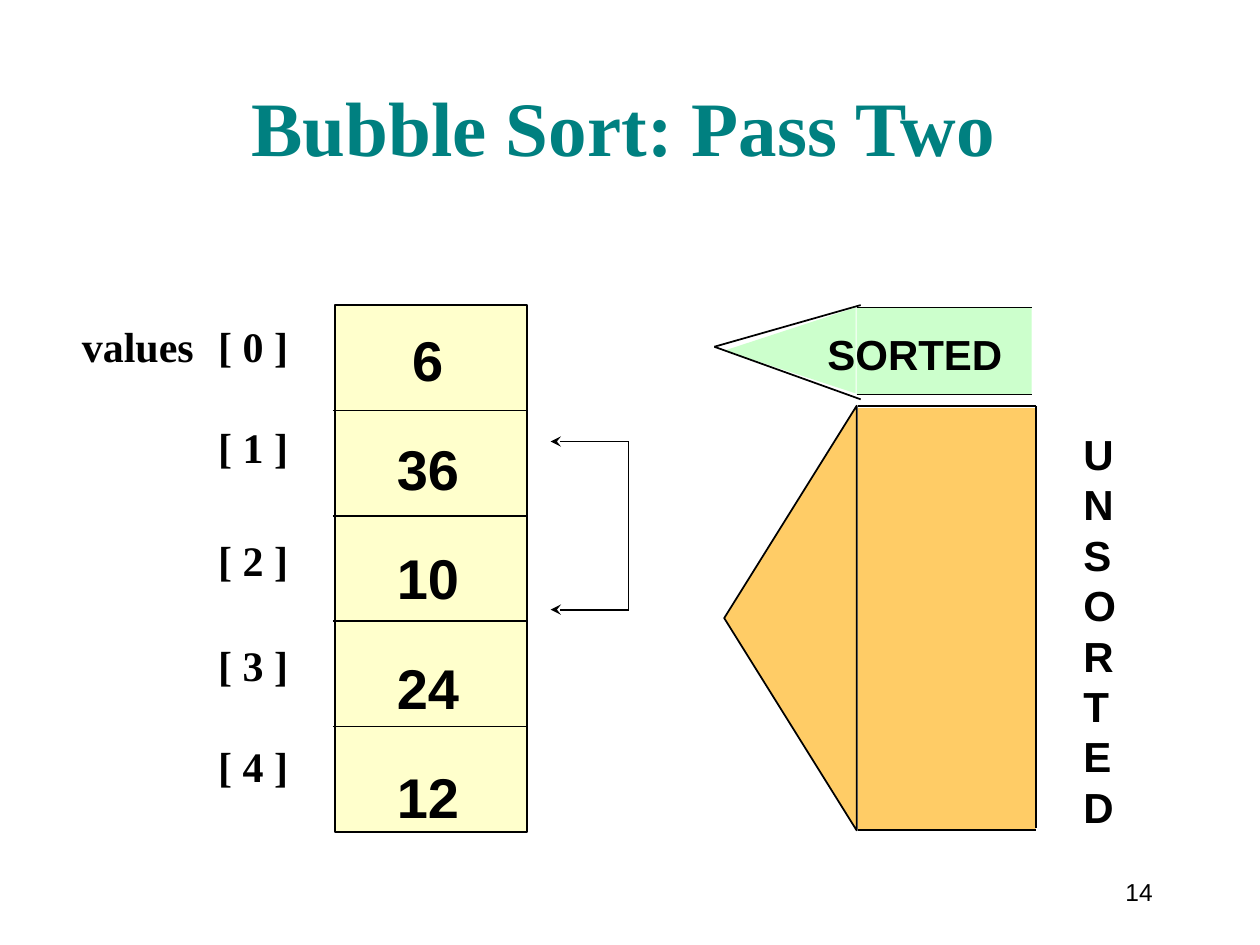
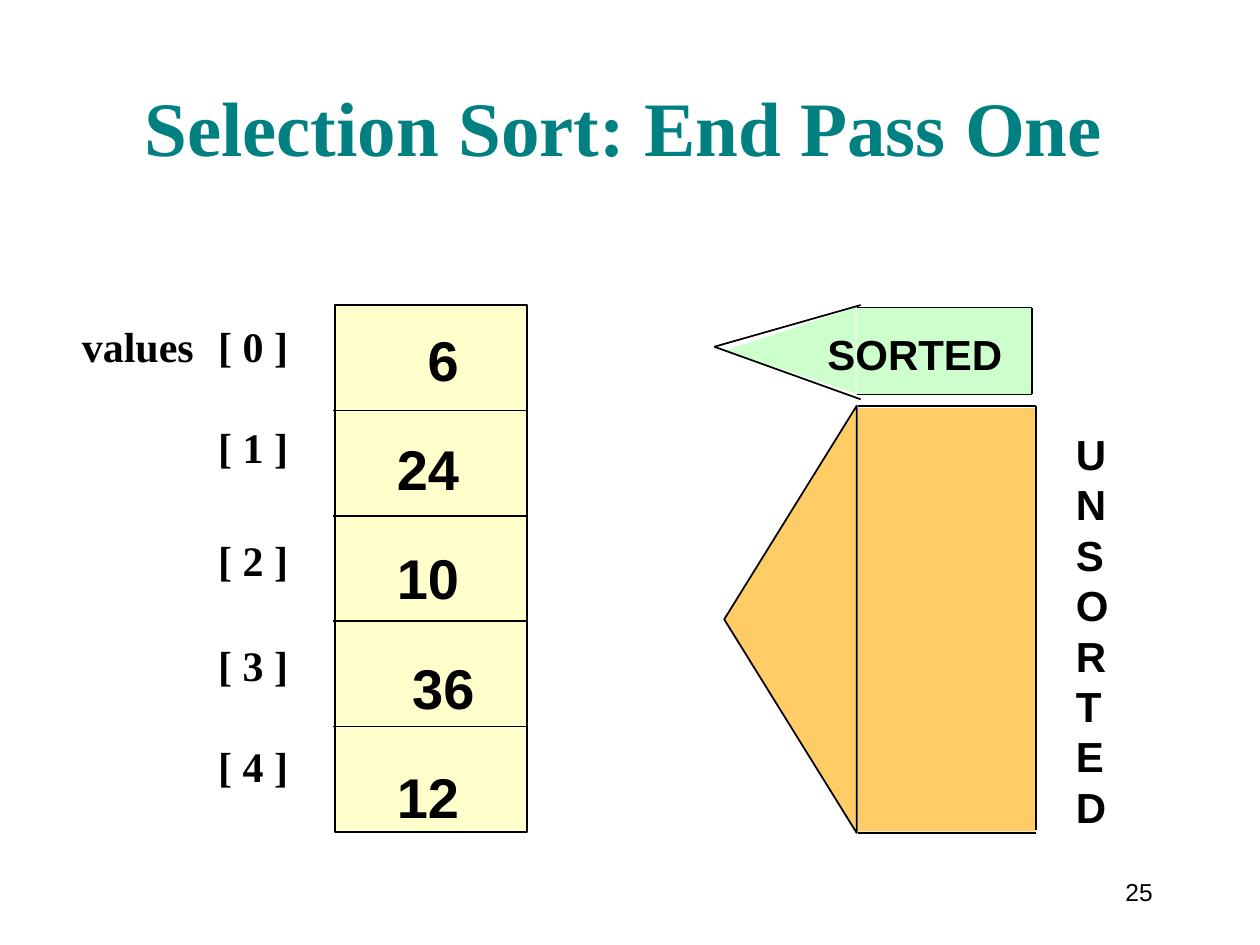
from dataclasses import dataclass

from lxml.etree import SubElement
from pptx import Presentation
from pptx.dml.color import RGBColor
from pptx.enum.shapes import MSO_CONNECTOR, MSO_SHAPE as Preset
from pptx.enum.text import MSO_ANCHOR as Anchor, PP_ALIGN as Align
from pptx.oxml.ns import qn
from pptx.slide import Slide
from pptx.util import Cm, Pt

BLACK = RGBColor(0x00, 0x00, 0x00)
TEAL = RGBColor(0x00, 0x80, 0x80)
CREAM = RGBColor(0xFF, 0xFF, 0xCC)
ORANGE = RGBColor(0xFF, 0xCC, 0x66)
GREEN = RGBColor(0xCC, 0xFF, 0xCC)
SANS, SERIF = "Arial", "Times New Roman"
LINE_FACTOR = 1.2


@dataclass(frozen=True)
class Box:
    """A frame in centimetres."""
    left: float
    top: float
    width: float
    height: float


@dataclass(frozen=True)
class Row:
    """One paragraph with its space before (points) and indent (cm)."""
    text: str
    before: float = 0
    indent: float = 0


@dataclass(frozen=True)
class SortStep:
    """The state of the sort that one slide shows."""
    title: str
    number: int
    values: tuple[int, ...]
    indents: tuple[float, ...]
    unsorted_bottom: float
    letters_left: float
    comparing: bool


ARRAY = Box(6.76, 6.15, 3.86, 10.62)
SORTED = Box(17.27, 6.2, 3.53, 1.75)
UNSORTED_LEFT, UNSORTED_TOP, UNSORTED_WIDTH = 17.3, 8.18, 3.58
INDEX_GAPS = (0, 28.8, 36, 31.2, 28.8)
VALUE_GAP = 24
SPACE = 0.31

STEPS = (
    SortStep("Bubble Sort: Pass Two ", 14, (6, 36, 10, 24, 12),
             (SPACE, 0, 0, 0, 0), 16.74, 21.59, True),
    SortStep("Selection Sort: End Pass One ", 25, (6, 24, 10, 36, 12),
             (2 * SPACE, 0, 0, SPACE, 0), 16.79, 21.44, False),
)


def add_text(slide: Slide, box: Box, rows: list[Row], *, size: float = 24,
             font: str = SANS, color: RGBColor = BLACK, bold: bool = True,
             align: Align = Align.LEFT, anchor: Anchor = Anchor.TOP,
             wrap: bool = False, inset_top: float = 0.18,
             tab: float | None = None) -> None:
    """Add a text box with one paragraph per row."""
    frame = slide.shapes.add_textbox(
        Cm(box.left), Cm(box.top), Cm(box.width), Cm(box.height)).text_frame
    frame.word_wrap = wrap
    frame.vertical_anchor = anchor
    frame.margin_left = frame.margin_right = Cm(0.25)
    frame.margin_top, frame.margin_bottom = Cm(inset_top), Cm(0.13)
    for number, row in enumerate(rows):
        paragraph = frame.add_paragraph() if number else frame.paragraphs[0]
        paragraph.alignment = align
        paragraph.line_spacing = Pt(size * LINE_FACTOR)
        paragraph.space_before = Pt(row.before)
        properties = paragraph._p.get_or_add_pPr()
        if row.indent:
            properties.set("marL", str(Cm(row.indent)))
        if tab:
            stops = SubElement(properties, qn("a:tabLst"))
            SubElement(stops, qn("a:tab"), pos=str(Cm(tab)), algn="l")
        run = paragraph.add_run()
        run.text = row.text
        run.font.size, run.font.name, run.font.bold = Pt(size), font, bold
        run.font.color.rgb = color


def add_block(slide: Slide, box: Box, fill: RGBColor, *,
              preset: Preset = Preset.RECTANGLE, outlined: bool = False) -> None:
    """Add a filled shape; a triangle points left and fills the box."""
    left, top, width, height = box.left, box.top, box.width, box.height
    turned = preset == Preset.ISOSCELES_TRIANGLE
    if turned:
        left, top = left + (width - height) / 2, top + (height - width) / 2
        width, height = height, width
    block = slide.shapes.add_shape(preset, Cm(left), Cm(top), Cm(width), Cm(height))
    block.rotation = 270 if turned else 0
    block.shadow.inherit = False
    block.fill.solid()
    block.fill.fore_color.rgb = fill
    if outlined:
        block.line.color.rgb = BLACK
        block.line.width = Pt(1)
    else:
        block.line.fill.background()


def add_line(slide: Slide, x1: float, y1: float, x2: float, y2: float,
             arrow: bool = False) -> None:
    """Add a thin black line, with an arrowhead at its start if asked."""
    line = slide.shapes.add_connector(
        MSO_CONNECTOR.STRAIGHT, Cm(x1), Cm(y1), Cm(x2), Cm(y2))
    line.line.color.rgb = BLACK
    line.line.width = Pt(1)
    if arrow:
        SubElement(line.line._get_or_add_ln(), qn("a:headEnd"), type="stealth")
    SubElement(line._element.spPr, qn("a:effectLst"))


def draw_array(slide: Slide, step: SortStep) -> None:
    """Draw the index labels and the array cells with their values."""
    labels = [Row(f"{'' if i else 'values'}\t[ {i} ]", gap)
              for i, gap in enumerate(INDEX_GAPS)]
    add_text(slide, Box(1.4, 4.5, 6.17, 11.51), labels, font=SERIF,
             wrap=True, inset_top=1.96, tab=2.75)
    add_block(slide, ARRAY, CREAM, outlined=True)
    count = len(step.values)
    for i in range(1, count):
        y = ARRAY.top + ARRAY.height * i / count
        add_line(slide, 6.71, y, 10.64, y)
    values = [Row(str(value), VALUE_GAP if i else 0, indent)
              for i, (value, indent) in enumerate(zip(step.values, step.indents))]
    add_text(slide, Box(7.75, 6.38, 2.08, 10.41), values, size=32, wrap=True)


def draw_unsorted(slide: Slide, step: SortStep) -> None:
    """Draw the orange pointer over the unsorted part."""
    left, top, bottom = UNSORTED_LEFT, UNSORTED_TOP, step.unsorted_bottom
    right = left + UNSORTED_WIDTH
    add_block(slide, Box(14.6, top, 2.67, bottom - top), ORANGE,
              preset=Preset.ISOSCELES_TRIANGLE, outlined=True)
    add_block(slide, Box(left, top + 0.05, UNSORTED_WIDTH, bottom - top - 0.08), ORANGE)
    add_line(slide, left, top, right, top)
    add_line(slide, left, bottom, right, bottom)
    add_line(slide, right, top, right, bottom - 0.05)
    add_text(slide, Box(step.letters_left, 8.46, 1.17, 8.38),
             [Row(letter) for letter in "UNSORTED"])


def draw_sorted(slide: Slide, closed: bool) -> None:
    """Draw the green pointer over the sorted part."""
    left, top = SORTED.left, SORTED.top
    right, bottom = left + SORTED.width, top + SORTED.height
    add_block(slide, Box(14.61, top, 2.64, 1.73), GREEN,
              preset=Preset.ISOSCELES_TRIANGLE)
    add_block(slide, SORTED, GREEN)
    for y, slant_y in ((top, 6.15), (bottom, 8.05)):
        add_line(slide, left, y, right, y)
        add_line(slide, 14.4, 6.99, 17.35, slant_y)
    add_text(slide, Box(16.43, 6.45, 4.04, 1.27), [Row("SORTED")])
    if closed:
        add_line(slide, right, top, right, bottom)


def draw_comparison(slide: Slide) -> None:
    """Draw the bracket that points at the two compared values."""
    tip, spine, upper, lower = 11.1, 12.67, 8.9, 12.29
    add_line(slide, spine, upper, spine, lower)
    for y in (upper, lower):
        add_line(slide, tip, y, spine, y, arrow=True)


def draw_step(slide: Slide, step: SortStep) -> None:
    """Draw one whole slide."""
    add_text(slide, Box(21.79, 17.35, 1.7, 1.27), [Row(str(step.number))], size=14,
             bold=False, align=Align.RIGHT, anchor=Anchor.MIDDLE, inset_top=0.13)
    add_text(slide, Box(2.24, 0.41, 21.06, 3.18), [Row(step.title)], size=44,
             font=SERIF, color=TEAL, align=Align.CENTER, anchor=Anchor.BOTTOM,
             wrap=True)
    draw_array(slide, step)
    draw_unsorted(slide, step)
    draw_sorted(slide, closed=not step.comparing)
    if step.comparing:
        draw_comparison(slide)


def main() -> None:
    """Build the slides and save the file."""
    deck = Presentation()
    deck.slide_width, deck.slide_height = Cm(25.4), Cm(19.05)
    for step in STEPS:
        draw_step(deck.slides.add_slide(deck.slide_layouts[6]), step)
    deck.save("out.pptx")


if __name__ == "__main__":
    main()
